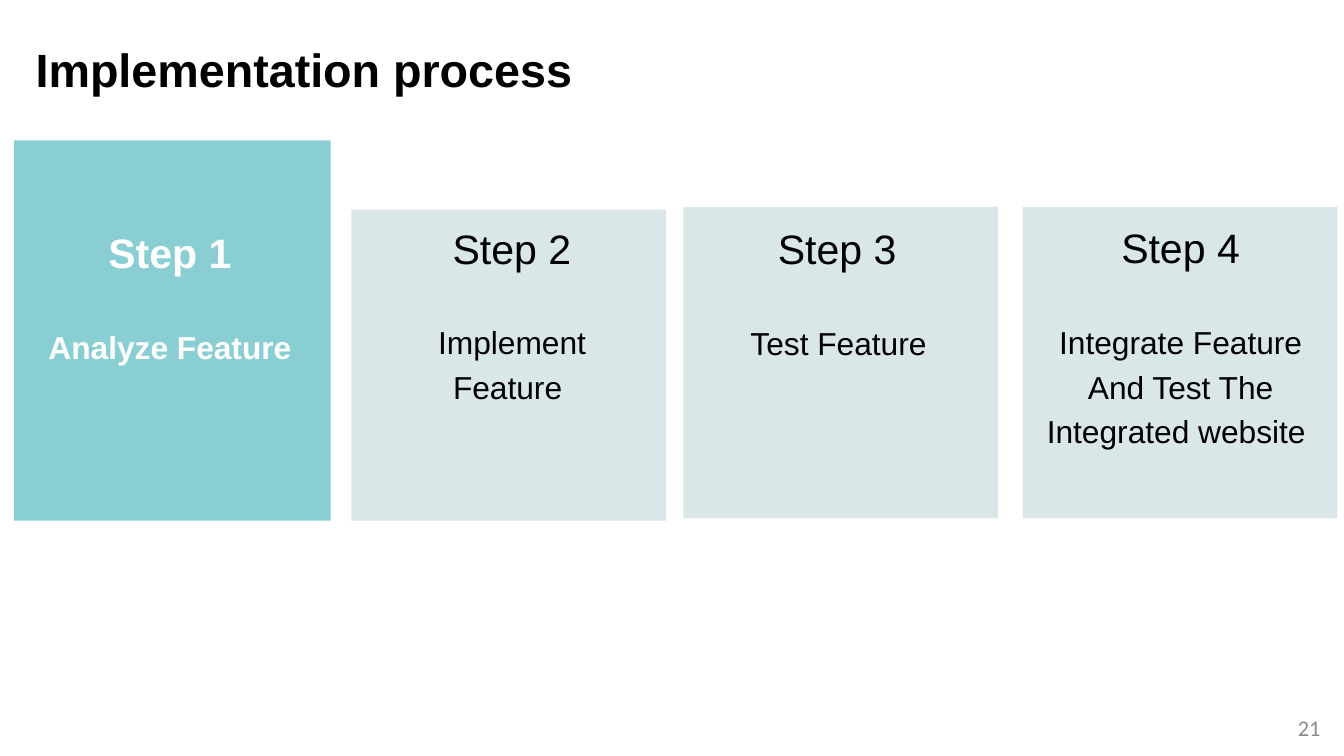
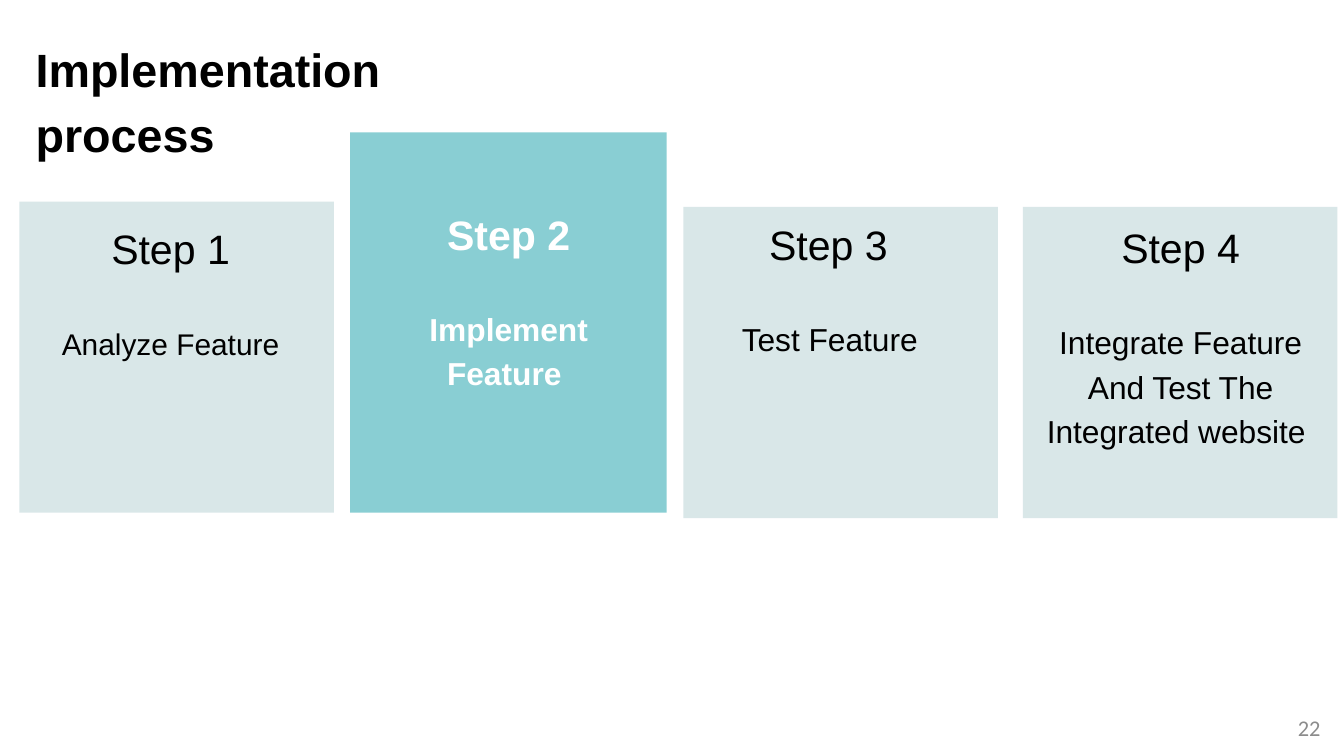
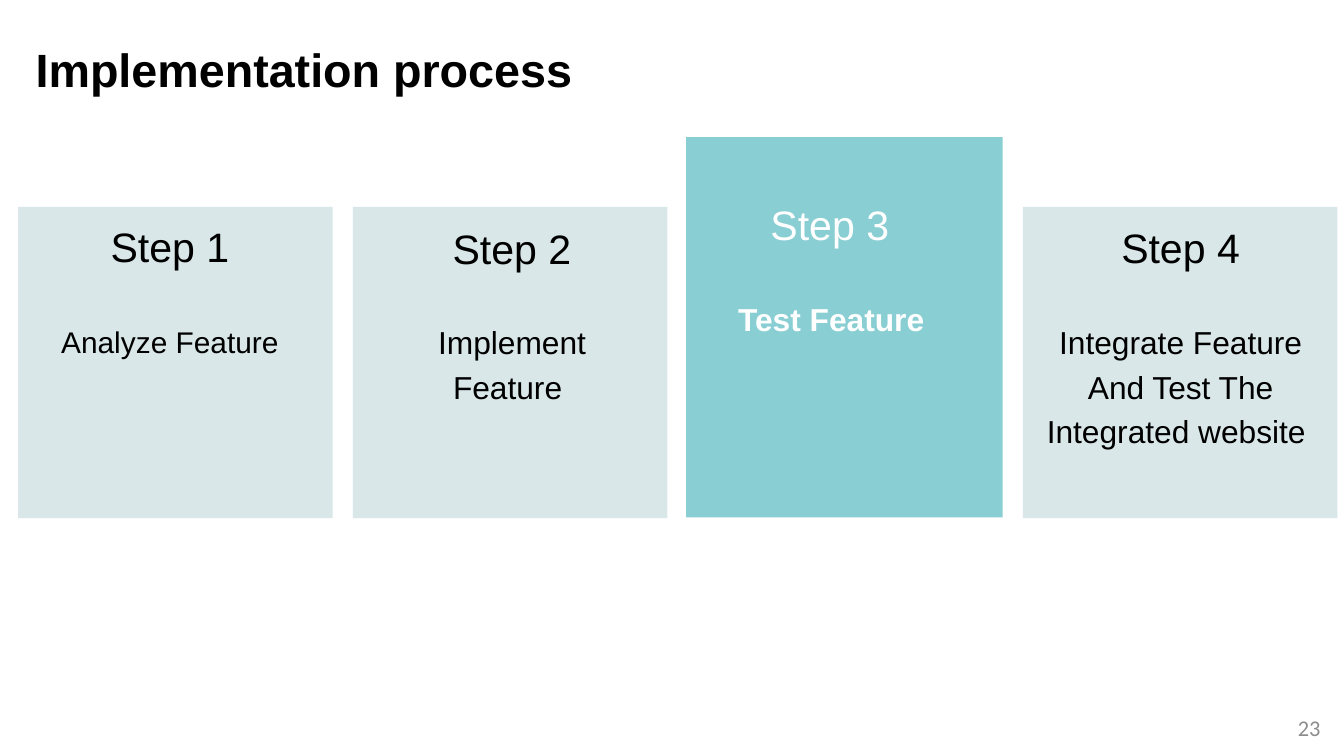
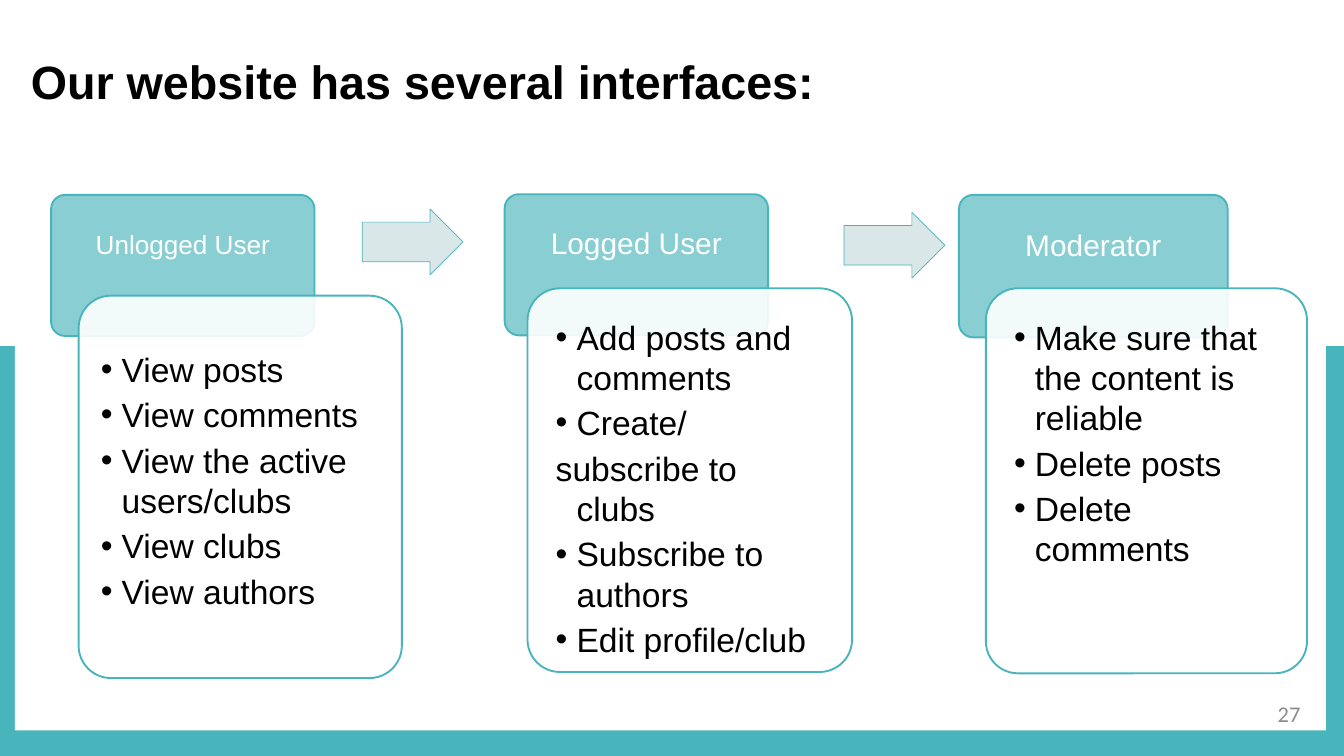
from dataclasses import dataclass

from lxml import etree
from pptx import Presentation
from pptx.dml.color import RGBColor
from pptx.enum.shapes import MSO_SHAPE
from pptx.enum.text import MSO_ANCHOR, PP_ALIGN
from pptx.oxml.ns import qn
from pptx.util import Inches, Pt

RECTANGLE = MSO_SHAPE.RECTANGLE
ROUNDED = MSO_SHAPE.ROUNDED_RECTANGLE
ARROW = MSO_SHAPE.RIGHT_ARROW
TOP, MIDDLE = MSO_ANCHOR.TOP, MSO_ANCHOR.MIDDLE
LEFT, CENTER, RIGHT = PP_ALIGN.LEFT, PP_ALIGN.CENTER, PP_ALIGN.RIGHT

# The slide is a grid of 20 columns by 11.25 rows
COLUMNS, ROWS = 20, 11.25
BLANK_LAYOUT = 6
DEFAULT_INSETS = (0.1, 0.05, 0.1, 0.05)
NO_INSETS = (0, 0, 0, 0)

TEAL, AQUA, MIST = "48B4BB", "89CED3", "D9E7E8"
WHITE, BLACK, GREY = "FFFFFF", "000000", "8C8C8C"

TITLE_FONT = {"name": "Arial", "size": Pt(50), "bold": True}
NUMBER_FONT = {"name": "Calibri", "size": Pt(24)}
STEP_LINE = {"alignment": CENTER, "line_spacing": Pt(47.6)}
BULLET_LINE = {"level": 1, "space_after": Pt(5.4)}
BULLET_INDENT = 0.31


def color(hex_value):
    return RGBColor.from_string(hex_value)


def apply(target, values):
    for name, value in values.items():
        setattr(target, name, value)


class Deck:
    """Holds the shared style and the slide being built."""

    def __init__(self):
        self.presentation = Presentation()
        self.presentation.slide_width = Inches(20)
        self.presentation.slide_height = Inches(11.25)
        self.column = self.presentation.slide_width / COLUMNS
        self.row = self.presentation.slide_height / ROWS
        self.slide = None

    def new_slide(self):
        layout = self.presentation.slide_layouts[BLANK_LAYOUT]
        self.slide = self.presentation.slides.add_slide(layout)

    def place(self, box):
        units = (self.column, self.row, self.column, self.row)
        return [round(length * unit) for length, unit in zip(box, units)]

    def shape(self, kind, box, fill, line=None, adjustments=(), opacity=None):
        shape = self.slide.shapes.add_shape(kind, *self.place(box))
        shape.shadow.inherit = False
        shape.fill.solid()
        shape.fill.fore_color.rgb = color(fill)
        if opacity is not None:
            fill_color = shape.fill._xPr.find(qn("a:solidFill"))[0]
            etree.SubElement(fill_color, qn("a:alpha"), val=str(opacity * 1000))
        if line is None:
            shape.line.fill.background()
        else:
            shape.line.color.rgb = color(TEAL)
            shape.line.width = Pt(line)
        for index, value in enumerate(adjustments):
            shape.adjustments[index] = value

    def text_frame(self, box, insets=NO_INSETS, anchor=TOP):
        frame = self.slide.shapes.add_textbox(*self.place(box)).text_frame
        left, top, right, bottom = (Inches(inset) for inset in insets)
        apply(frame, {"word_wrap": True, "vertical_anchor": anchor,
                      "margin_left": left, "margin_top": top,
                      "margin_right": right, "margin_bottom": bottom})
        return frame

    def paragraph(self, frame, text, font, font_color, layout):
        first = frame.paragraphs[0]
        paragraph = frame.add_paragraph() if first.runs else first
        apply(paragraph, layout)
        run = paragraph.add_run()
        run.text = text
        apply(run.font, font)
        run.font.color.rgb = color(font_color)
        return paragraph

    def title(self, text, left, top, width, height):
        frame = self.text_frame((left, top, width, height))
        self.paragraph(frame, text, TITLE_FONT, BLACK,
                       {"alignment": LEFT, "line_spacing": Pt(70)})

    def number(self, value, left=17.42, top=10.62):
        frame = self.text_frame((left, top, 2.33, 0.4), DEFAULT_INSETS, MIDDLE)
        self.paragraph(frame, str(value), NUMBER_FONT, GREY, {"alignment": RIGHT})

    def step(self, step, card, text, active):
        size = (4.71, 5.66) if active else (4.68, 4.63)
        self.shape(RECTANGLE, (*card, *size), AQUA if active else MIST)
        frame = self.text_frame((*text, *step.text_size), step.insets)
        font_color = WHITE if active else BLACK
        label_size = 34 if active else step.label_size
        self.paragraph(frame, step.name,
                       {"name": "Arial", "size": Pt(44),
                        "bold": active and step.bold_name},
                       font_color, STEP_LINE)
        self.paragraph(frame, step.label,
                       {"name": "Arial", "size": Pt(label_size), "bold": active},
                       font_color, {**STEP_LINE, "space_before": Pt(47.6)})

    def role(self, role):
        left, top, width, height = role.head
        self.shape(ROUNDED, role.head, AQUA, 2, [0.1])
        frame = self.text_frame((left, top, width, height * 2 / 3),
                                (0.25, 0.25, 0.25, 0.13), MIDDLE)
        self.paragraph(frame, role.name,
                       {"name": "Arial", "size": Pt(role.name_size)}, WHITE,
                       {"alignment": CENTER, "line_spacing": 0.9})
        left, top, width, height = role.body
        self.shape(ROUNDED, role.body, WHITE, 2, [0.1], opacity=90)
        frame = self.text_frame((left + 0.14, top + 0.14, width - 0.28, height - 0.28),
                                role.insets)
        for item in role.items:
            self.bullet(frame, item, marked=item not in UNMARKED)

    def bullet(self, frame, text, marked):
        paragraph = self.paragraph(frame, text, {"name": "Arial", "size": Pt(36)},
                                   BLACK, BULLET_LINE)
        properties = paragraph._p.get_or_add_pPr()
        indent = Inches(BULLET_INDENT)
        properties.set("marL", str(indent))
        properties.set("indent", str(-indent))
        if marked:
            etree.SubElement(properties, qn("a:buFont"), typeface="Arial")
            etree.SubElement(properties, qn("a:buChar"), char="•")
        else:
            etree.SubElement(properties, qn("a:buNone"))


@dataclass
class Step:
    name: str
    label: str
    text_size: tuple
    label_size: int = 34
    bold_name: bool = True
    insets: tuple = NO_INSETS


@dataclass
class Role:
    name: str
    name_size: int
    head: tuple
    body: tuple
    items: list
    insets: tuple = (0.28, 0.28, 0.28, 0.28)


STEPS = [
    Step("Step 1", "Analyze Feature", (3.62, 1.98), label_size=32),
    Step("Step 2", "Implement Feature ", (3.62, 2.65)),
    Step("Step 3 ", "Test Feature ", (4.33, 2.65), bold_name=False),
    Step("Step 4", "Integrate Feature And Test The Integrated website ",
         (4.3, 3.41), insets=DEFAULT_INSETS),
]
LAST_STEP = ((15.22, 3.08), (15.42, 3.34))

# Number, active step, title width, then card and text corners of each step
PROCESS_SLIDES = [
    (21, 0, 8.39, [((0.21, 2.09), (0.72, 3.46)), ((5.23, 3.12), (5.81, 3.39)),
                   ((10.17, 3.08), (10.38, 3.4)), LAST_STEP]),
    (22, 1, 7.22, [((0.29, 3), (0.73, 3.4)), ((5.21, 1.97), (5.76, 3.19)),
                   ((10.17, 3.08), (10.25, 3.34)), LAST_STEP]),
    (23, 2, 8.14, [((0.27, 3.08), (0.72, 3.36)), ((5.25, 3.08), (5.81, 3.39)),
                   ((10.21, 2.04), (10.27, 3.04)), LAST_STEP]),
]

ROLES = [
    Role("Unlogged User", 28, (0.76, 2.9, 3.92, 2.1), (1.17, 4.4, 4.81, 5.69),
         ["View posts", "View comments", "View the active users/clubs",
          "View clubs", "View authors"], (0.19, 0.65, 0.19, 0.19)),
    Role("Logged User", 32, (7.51, 2.89, 3.92, 2.1), (7.85, 4.29, 4.83, 5.71),
         ["Add posts and comments", "Create/", "subscribe to clubs",
          "Subscribe to authors", "Edit profile/club"]),
    Role("Moderator", 32, (14.27, 2.9, 4, 2.12), (14.67, 4.29, 4.78, 5.73),
         ["Make sure that the content is reliable", "Delete posts",
          "Delete comments"]),
]
UNMARKED = {"subscribe to clubs"}
ARROW_CORNERS = [(5.39, 3.11), (12.56, 3.16)]


def build_process(deck, number, active, title_width, corners):
    deck.new_slide()
    for index, (step, (card, text)) in enumerate(zip(STEPS, corners)):
        deck.step(step, card, text, index == active)
    deck.title("Implementation process", 0.53, 0.47, title_width, 1.9)
    deck.number(number)


def build_interfaces(deck):
    deck.new_slide()
    # Teal frame around a white panel
    deck.shape(RECTANGLE, (0, 5.15, COLUMNS, ROWS - 5.15), TEAL)
    deck.shape(RECTANGLE, (0.22, 1.49, 19.51, 9.38), WHITE)
    deck.title("Our website has several interfaces:", 0.46, 0.64, 12.92, 0.92)
    # User roles and the arrows between them
    for role in ROLES:
        deck.role(role)
    for corner in ARROW_CORNERS:
        deck.shape(ARROW, (*corner, 1.5, 0.98), MIST, 0.75, [0.6, 0.5])
    deck.number(27, 17.12, 10.42)


def main():
    deck = Deck()
    for process in PROCESS_SLIDES:
        build_process(deck, *process)
    build_interfaces(deck)
    deck.presentation.save("out.pptx")


if __name__ == "__main__":
    main()
